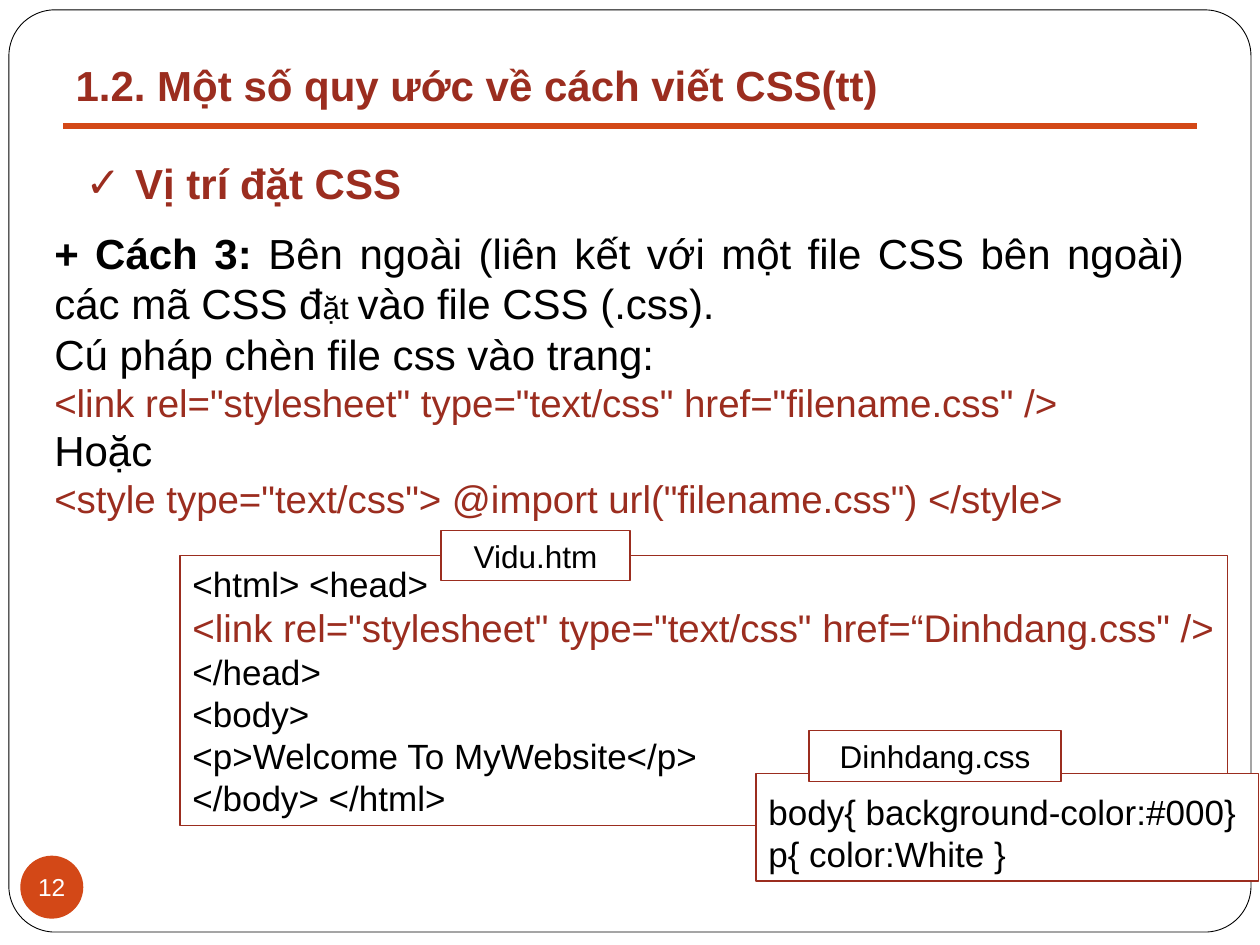
from lxml.etree import SubElement
from pptx import Presentation
from pptx.dml.color import RGBColor
from pptx.enum.shapes import MSO_CONNECTOR, MSO_SHAPE
from pptx.enum.text import MSO_ANCHOR, MSO_AUTO_SIZE, PP_ALIGN
from pptx.oxml.ns import qn
from pptx.util import Cm, Pt


class Theme:
    face = "Arial"
    red = RGBColor(0x9B, 0x2D, 0x1F)
    rust = RGBColor(0xD3, 0x48, 0x17)
    black = RGBColor(0, 0, 0)
    white = RGBColor(255, 255, 255)
    head, link, code, label, page = Pt(24), Pt(22), Pt(20), Pt(18), Pt(14)


def format_lines(frame, styles, align, bold=False):
    for line, (size, color) in zip(frame.paragraphs, styles):
        line.alignment = align
        line.space_before = Pt(0)
        for run in line.runs:
            run.font.name = Theme.face
            run.font.size = size
            run.font.bold = bold
            run.font.color.rgb = color


def add_box(kind, place, fill, edge, width):
    box = slide.shapes.add_shape(kind, *map(Cm, place))
    box.shadow.inherit = False
    if fill is None:
        box.fill.background()
    else:
        box.fill.solid()
        box.fill.fore_color.rgb = fill
    if edge is None:
        box.line.fill.background()
    else:
        box.line.color.rgb = edge
        box.line.width = Pt(width)
    return box


deck = Presentation()
deck.slide_width, deck.slide_height = Cm(25.4), Cm(19.05)
slide = deck.slides.add_slide(deck.slide_layouts[3])
title, topic, body = slide.placeholders

places = [
    (title, (1.27, 1.07, 16.92, 1.27)),
    (topic, (1.47, 3.05, 7.04, 1.27)),
    (body, (0.84, 4.45, 23.29, 6.2)),
]
for holder, place in places:
    holder.left, holder.top, holder.width, holder.height = map(Cm, place)
    holder.text_frame.auto_size = MSO_AUTO_SIZE.NONE
    holder.text_frame.vertical_anchor = MSO_ANCHOR.MIDDLE
    holder.text_frame.word_wrap = holder is body

frame = add_box(MSO_SHAPE.ROUNDED_RECTANGLE, (0.18, 0.2, 25.04, 18.59),
                Theme.white, Theme.black, 0.5)
frame.adjustments[0] = 0.05
title.element.addprevious(frame.element)

title.text_frame.text = "1.2. Một số quy ước về cách viết CSS(tt)"
format_lines(title.text_frame, [(Theme.head, Theme.red)], PP_ALIGN.LEFT, True)

topic.text_frame.text = "Vị trí đặt CSS"
props = topic.text_frame.paragraphs[0]._p.get_or_add_pPr()
props.set("marL", str(Cm(1)))
props.set("indent", str(Cm(-1)))
tint = SubElement(props, qn("a:buClr"))
SubElement(tint, qn("a:srgbClr"), val=str(Theme.red))
SubElement(props, qn("a:buFont"), typeface=Theme.face)
SubElement(props, qn("a:buChar"), char="✓")
format_lines(topic.text_frame, [(Theme.head, Theme.red)], PP_ALIGN.LEFT, True)

body.text_frame.text = "\n".join([
    "+ Cách 3:",
    "Cú pháp chèn file css vào trang:",
    '<link rel="stylesheet" type="text/css" href="filename.css" />',
    "Hoặc",
    '<style type="text/css"> @import url("filename.css") </style>',
])
intro = body.text_frame.paragraphs[0]
for part in [" Bên ngoài (liên kết với một file CSS bên ngoài) các mã CSS đ",
             "ặt ", "vào file CSS (.css)."]:
    intro.add_run().text = part
for line in body.text_frame.paragraphs:
    props = line._p.get_or_add_pPr()
    props.set("marL", "0")
    props.set("indent", "0")
    SubElement(props, qn("a:buNone"))
plain, sample = (Theme.head, Theme.black), (Theme.link, Theme.red)
format_lines(body.text_frame, [plain, plain, sample, plain, sample],
             PP_ALIGN.JUSTIFY)
intro.runs[0].font.bold = True
intro.runs[2].font.size = Theme.label

rule = slide.shapes.add_connector(MSO_CONNECTOR.STRAIGHT, Cm(1.27), Cm(2.54),
                                  Cm(24.13), Cm(2.54))
rule.line.color.rgb = Theme.rust
rule.line.width = Pt(3)
SubElement(rule.element.spPr, qn("a:effectLst"))

badge = add_box(MSO_SHAPE.OVAL, (0.41, 17.25, 1.27, 1.27), Theme.rust, None, 0)
text = badge.text_frame
text.margin_left = text.margin_right = text.margin_top = text.margin_bottom = 0
text.word_wrap = False
text.text = "12"
format_lines(text, [(Theme.page, Theme.white)], PP_ALIGN.CENTER)

page = ["<html> <head>",
        '<link rel="stylesheet" type="text/css" href=“Dinhdang.css" />',
        "</head>", "<body>", "<p>Welcome To MyWebsite</p>", "</body> </html>"]
sheet = ["body{ background-color:#000}", "p{ color:White }"]
code = (Theme.code, Theme.black)
panels = [
    ((3.63, 11.2, 21.11, 5.44), None, page, [code, sample] + [code] * 4,
     MSO_ANCHOR.MIDDLE),
    ((15.24, 15.6, 10.13, 2.16), Theme.white, sheet, [code] * 2,
     MSO_ANCHOR.BOTTOM),
]
for place, fill, lines, styles, anchor in panels:
    panel = add_box(MSO_SHAPE.RECTANGLE, place, fill, Theme.red, 0.75)
    panel.text_frame.word_wrap = False
    panel.text_frame.vertical_anchor = anchor
    panel.text_frame.text = "\n".join(lines)
    format_lines(panel.text_frame, styles, PP_ALIGN.LEFT)

for name, left, top, width in [("Vidu.htm", 8.89, 10.69, 3.81),
                               ("Dinhdang.css", 16.31, 14.73, 5.08)]:
    label = add_box(MSO_SHAPE.RECTANGLE, (left, top, width, 1.02),
                    Theme.white, Theme.red, 0.75)
    label.text_frame.vertical_anchor = MSO_ANCHOR.MIDDLE
    label.text_frame.text = name
    format_lines(label.text_frame, [(Theme.label, Theme.black)], PP_ALIGN.CENTER)

deck.save("out.pptx")
